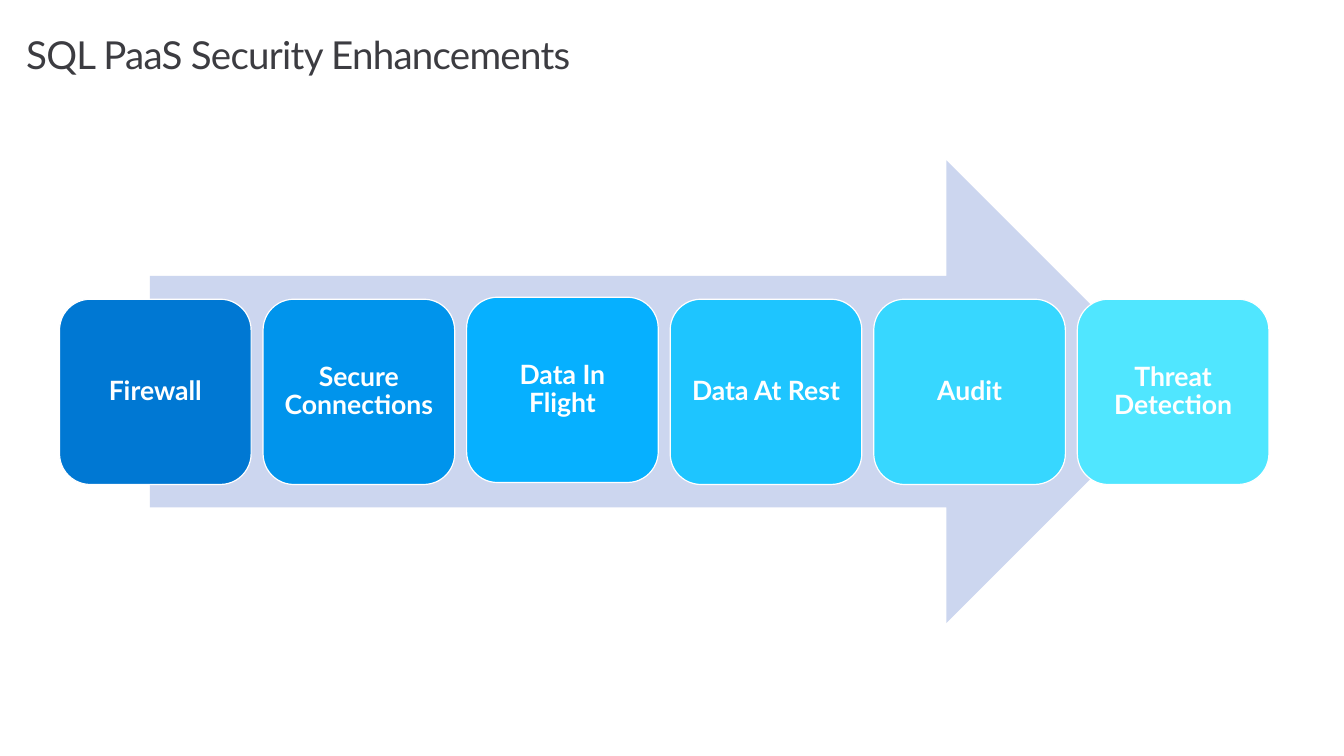
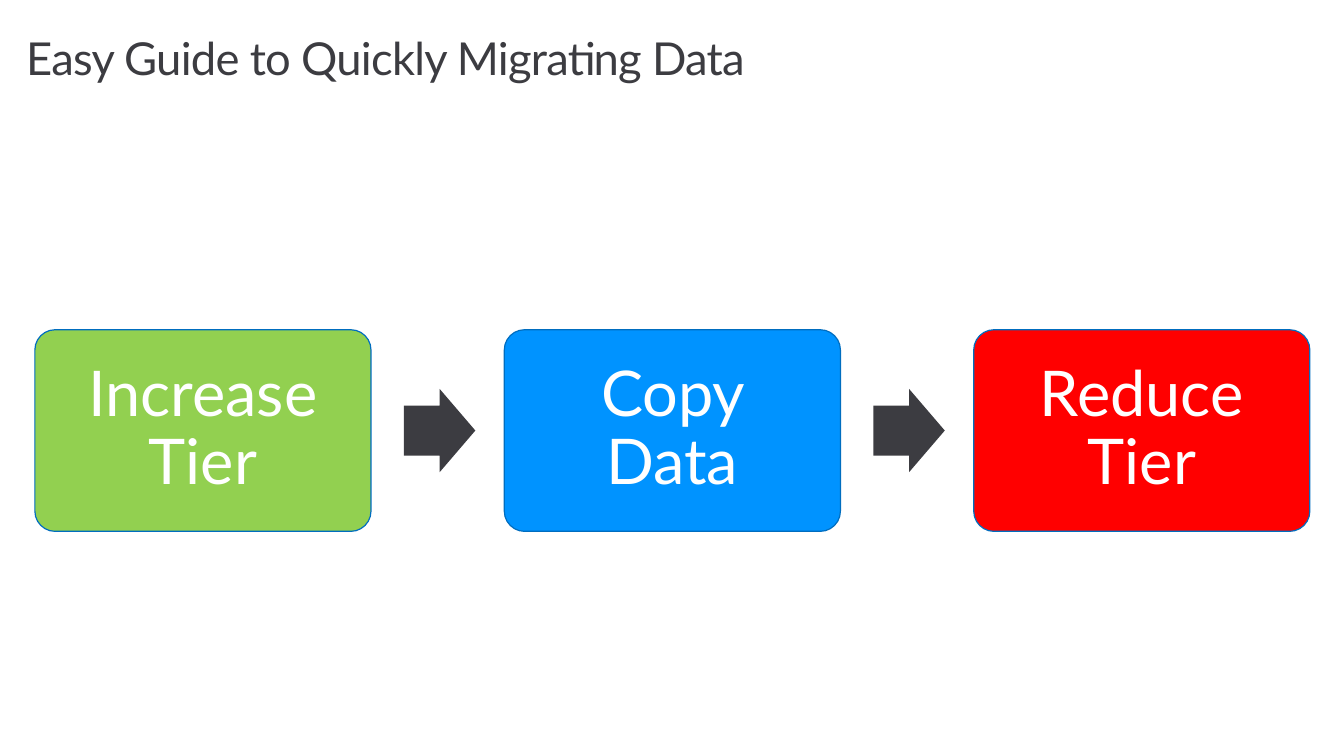
from pptx import Presentation
from pptx.dml.color import RGBColor
from pptx.enum.shapes import MSO_SHAPE as Kind
from pptx.enum.text import MSO_ANCHOR as Anchor, PP_ALIGN as Align
from pptx.util import Cm, Pt

FONT = "Lato"
DARK = "3C3C41"
WHITE = "FFFFFF"

deck = Presentation()
deck.slide_width, deck.slide_height = Cm(33.87), Cm(19.05)


def write(shape, text, size, color, pads, bold=False):
    """Put one styled paragraph in a shape; pads are left, top, right, bottom in cm."""
    frame = shape.text_frame
    frame.word_wrap = True
    frame.margin_left, frame.margin_top, frame.margin_right, frame.margin_bottom = map(Cm, pads)
    frame.text = text
    para = frame.paragraphs[0]
    para.line_spacing = 0.9
    font = para.runs[0].font
    font.name, font.size, font.bold = FONT, Pt(size), bold
    font.color.rgb = RGBColor.from_string(color)
    return para


def draw(slide, kind, box, fill, line=None, adjust=()):
    """Add a flat preset shape; box is left, top, width, height in cm."""
    shape = slide.shapes.add_shape(kind, *map(Cm, box))
    shape.shadow.inherit = False
    shape.fill.solid()
    shape.fill.fore_color.rgb = RGBColor.from_string(fill)
    if line:
        shape.line.color.rgb = RGBColor.from_string(line)
        shape.line.width = Pt(0.85)
    else:
        shape.line.fill.background()
    for i, value in enumerate(adjust):
        shape.adjustments[i] = value
    return shape


# Both slides: title at the top left
slides = []
for title, size in (
    ("SQL PaaS Security Enhancements", 27.5),
    ("Easy Guide to Quickly Migrating Data", 32.4),
):
    slide = deck.slides.add_slide(deck.slide_layouts[6])
    box = slide.shapes.add_textbox(Cm(0.66), Cm(0.66), Cm(31.32), Cm(1.8))
    para = write(box, title, size, DARK, (0, 0.25, 0.41, 0.25))
    para.runs[0].font._element.set("spc", "-50")
    slides.append(slide)
security, guide = slides

# Security layers along one broad arrow
draw(security, Kind.RIGHT_ARROW, (3.78, 4.04, 25.9, 11.66), "CCD6EF")
layers = (
    ("Firewall", "0078D3", 7.54),
    ("Secure Connections", "0094EC", 7.54),
    ("Data In Flight", "06B0FF", 7.49),
    ("Data At Rest", "1EC5FF", 7.54),
    ("Audit", "37D7FF", 7.54),
    ("Threat Detection", "50E6FF", 7.54),
)
for i, (text, fill, top) in enumerate(layers):
    card = draw(security, Kind.ROUNDED_RECTANGLE, (1.5 + 5.13 * i, top, 4.83, 4.67), fill, WHITE)
    card.text_frame.vertical_anchor = Anchor.MIDDLE
    write(card, text, 19, WHITE, [0.2] * 4, bold=True).alignment = Align.CENTER

# Migration steps with an arrow between neighbours
steps = (("Increase Tier", "92D050"), ("Copy Data", "0093FF"), ("Reduce Tier", "FF0000"))
for i, (text, fill) in enumerate(steps):
    left = 0.88 + 11.83 * i
    card = draw(guide, Kind.ROUNDED_RECTANGLE, (left, 8.31, 8.47, 5.08), fill, "006DBF", [0.1])
    card.text_frame.vertical_anchor = Anchor.MIDDLE
    write(card, text, 45, WHITE, [0.48] * 4).alignment = Align.CENTER
    if i < len(steps) - 1:
        draw(guide, Kind.RIGHT_ARROW, (left + 9.3, 9.8, 1.8, 2.1), DARK, adjust=(0.6, 0.5))

deck.save("out.pptx")
